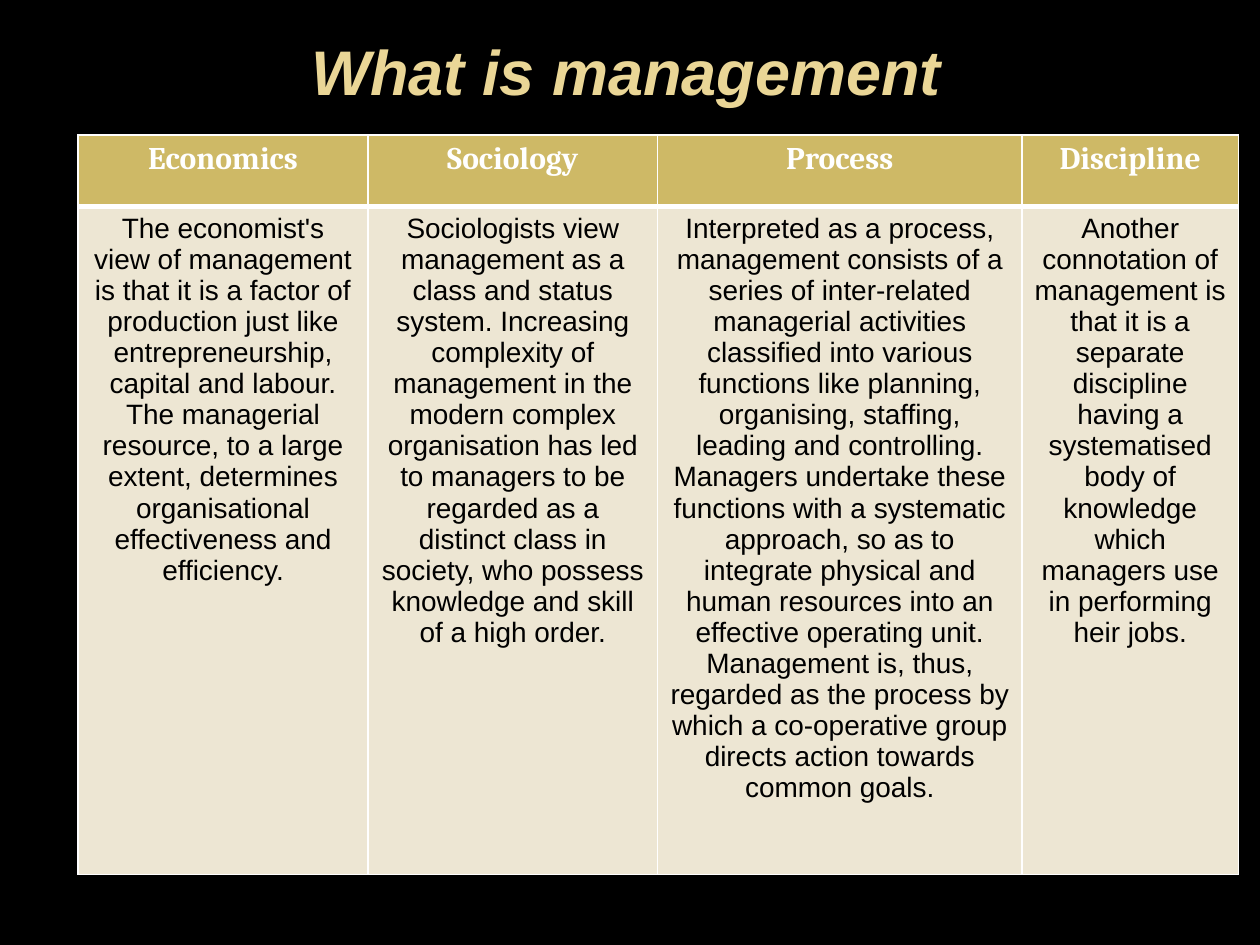
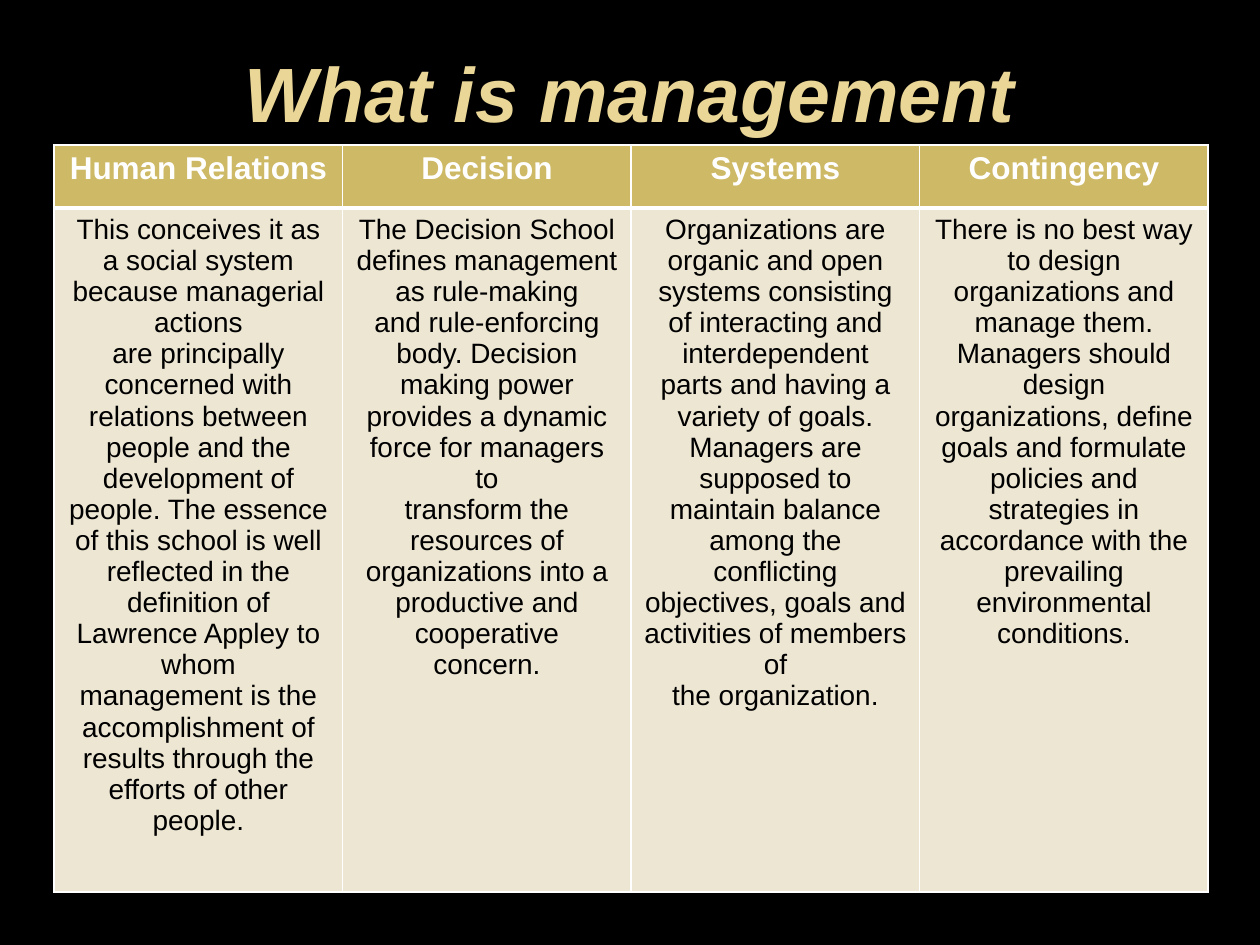
from dataclasses import dataclass

from lxml.etree import SubElement
from pptx import Presentation
from pptx.dml.color import RGBColor as Color
from pptx.enum.text import MSO_ANCHOR as Anchor, PP_ALIGN as Align
from pptx.oxml.ns import qn
from pptx.util import Pt

PX = 9144


@dataclass(frozen=True)
class Theme:
    backdrop: str = "000000"
    title: str = "EAD696"
    header_fill: str = "CEB966"
    header_text: str = "FFFFFF"
    body_fill: str = "EDE6D3"
    body_text: str = "000000"
    border: str = "FFFFFF"
    font: str = "Arial"
    header_size: int = 18
    body_size: int = 16
    thin: int = 1
    thick: int = 3


theme = Theme()


def write(frame, text, *, size, color, font=theme.font, bold=False, italic=False):
    frame.word_wrap = True
    frame.text = text
    for para in frame.paragraphs:
        para.alignment = Align.CENTER
        for span in para.runs:
            span.font.name = font
            span.font.size = Pt(size)
            span.font.bold = bold
            span.font.italic = italic
            span.font.color.rgb = Color.from_string(color)


def add_borders(cell, **widths):
    properties = cell._tc.get_or_add_tcPr()
    for side, width in widths.items():
        line = SubElement(properties, qn(f"a:ln{side}"), w=str(Pt(width)))
        fill = SubElement(line, qn("a:solidFill"))
        SubElement(fill, qn("a:srgbClr"), val=theme.border)


slides = [
    {
        "title_box": (47, 16, 900, 79),
        "title_size": 36,
        "header_font": "Cambria",
        "table_at": (62, 107),
        "columns": (230, 230, 289, 172),
        "rows": (57, 530),
        "views": {
            "Economics": "The economist's view of management is that it is a factor of production "
            "just like entrepreneurship, capital and labour. The managerial resource, to a large "
            "extent, determines organisational effectiveness and efficiency.",
            "Sociology": "Sociologists view management as a class and status system. Increasing "
            "complexity of management in the modern complex organisation has led to managers to be "
            "regarded as a distinct class in society, who possess knowledge and skill of a high order.",
            "Process": "Interpreted as a process, management consists of a series of inter-related "
            "managerial activities classified into various functions like planning, organising, "
            "staffing, leading and controlling. Managers undertake these functions with a systematic "
            "approach, so as to integrate physical and human resources into an effective operating "
            "unit. Management is, thus, regarded as the process by which a co-operative group directs "
            "action towards common goals.",
            "Discipline": "Another connotation of management is that it is a separate discipline "
            "having a systematised body of knowledge which managers use in performing heir jobs.",
        },
    },
    {
        "title_box": (50, 30, 900, 85),
        "title_size": 44,
        "header_font": theme.font,
        "table_at": (43, 115),
        "columns": (229,) * 4,
        "rows": (50, 504),
        "views": {
            "Human Relations": "This conceives it as a social system because managerial actions\n"
            "are principally concerned with relations between people and the development of people. "
            "The essence\n"
            "of this school is well reflected in the definition of Lawrence Appley to whom\n"
            "management is the accomplishment of results through the efforts of other\n"
            "people.",
            "Decision": "The Decision School defines management as rule-making\n"
            "and rule-enforcing body. Decision making power provides a dynamic force for managers to\n"
            "transform the resources of organizations into a productive and cooperative\n"
            "concern.",
            "Systems": "Organizations are organic and open systems consisting of interacting and "
            "interdependent\n"
            "parts and having a variety of goals. Managers are supposed to\n"
            "maintain balance among the conflicting objectives, goals and activities of members of\n"
            "the organization.",
            "Contingency": "There is no best way to design organizations and manage them.\n"
            "Managers should design organizations, define goals and formulate policies and\n"
            "strategies in accordance with the prevailing environmental conditions.",
        },
    },
]

deck = Presentation()
deck.slide_width, deck.slide_height = 1000 * PX, 750 * PX

for content in slides:
    page = deck.slides.add_slide(deck.slide_layouts[6])
    page.background.fill.solid()
    page.background.fill.fore_color.rgb = Color.from_string(theme.backdrop)

    box = page.shapes.add_textbox(*(length * PX for length in content["title_box"]))
    box.text_frame.vertical_anchor = Anchor.MIDDLE
    write(box.text_frame, "What is management", size=content["title_size"],
          color=theme.title, bold=True, italic=True)

    left, top = content["table_at"]
    columns, rows = content["columns"], content["rows"]
    table = page.shapes.add_table(len(rows), len(columns), left * PX, top * PX,
                                  sum(columns) * PX, sum(rows) * PX).table
    table.horz_banding = False
    for column, width in zip(table.columns, columns):
        column.width = width * PX
    for row, height in zip(table.rows, rows):
        row.height = height * PX

    for index, (heading, view) in enumerate(content["views"].items()):
        header, body = table.cell(0, index), table.cell(1, index)
        add_borders(header, L=theme.thin, R=theme.thin, T=theme.thin, B=theme.thick)
        add_borders(body, L=theme.thin, R=theme.thin, T=theme.thick, B=theme.thin)
        for cell, color in ((header, theme.header_fill), (body, theme.body_fill)):
            cell.fill.solid()
            cell.fill.fore_color.rgb = Color.from_string(color)
        write(header.text_frame, heading, size=theme.header_size, color=theme.header_text,
              font=content["header_font"], bold=True)
        write(body.text_frame, view, size=theme.body_size, color=theme.body_text)

deck.save("out.pptx")
